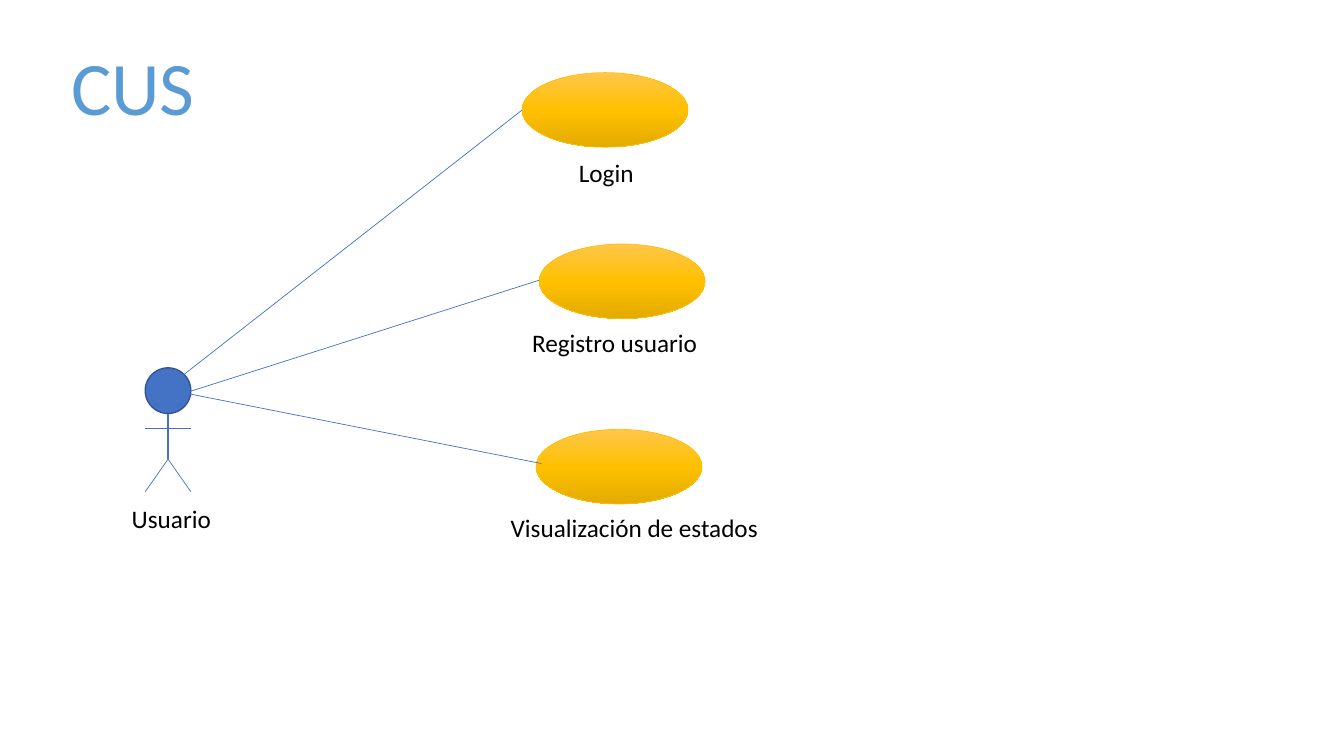
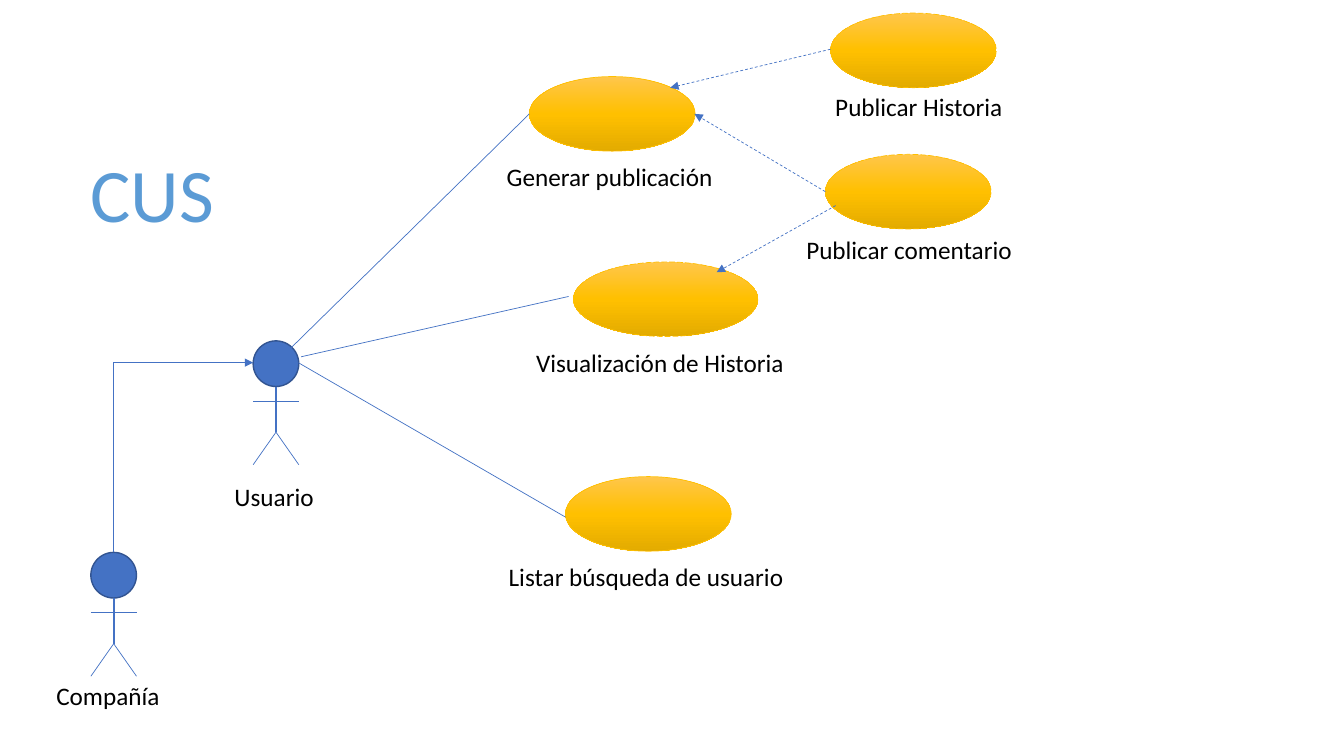
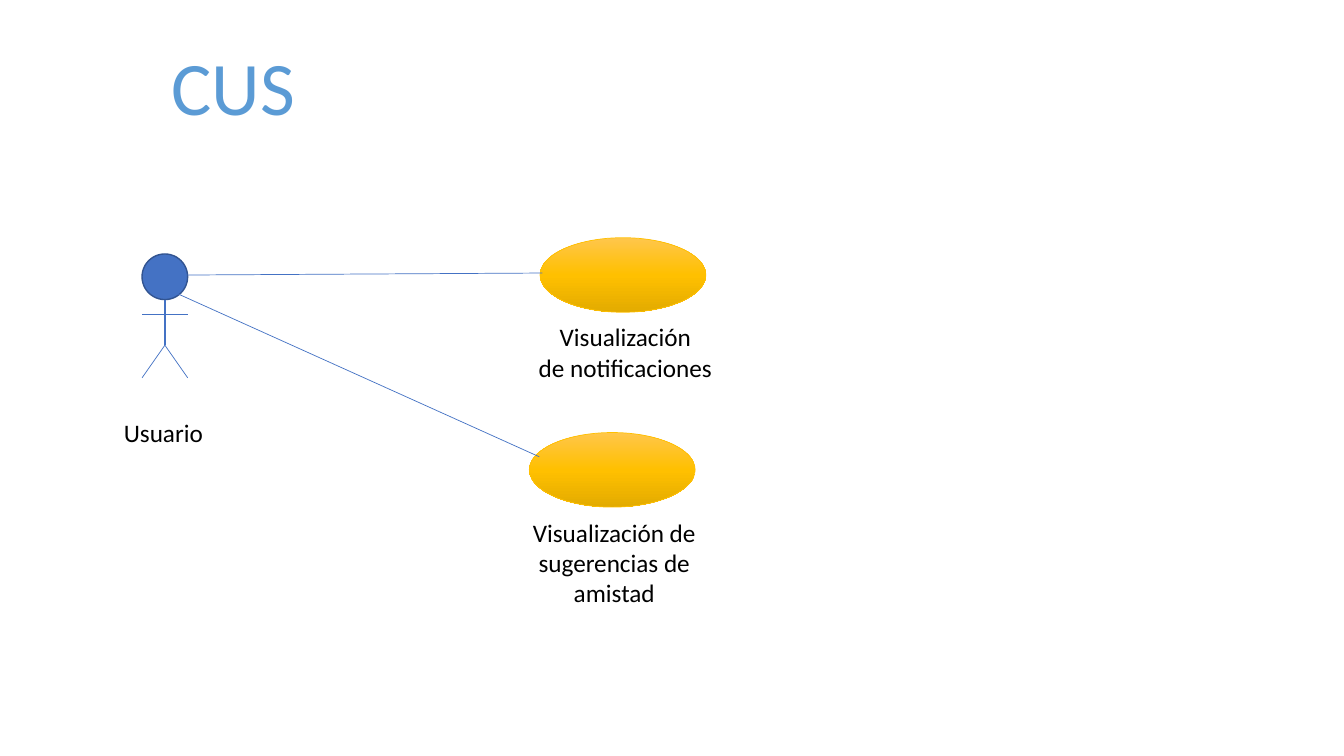
"""Build three use case diagram slides with actors, cases and links."""
from copy import deepcopy

from lxml import etree
from pptx import Presentation
from pptx.dml.color import RGBColor
from pptx.enum.dml import MSO_LINE
from pptx.enum.shapes import MSO_CONNECTOR, MSO_SHAPE
from pptx.enum.text import MSO_AUTO_SIZE, PP_ALIGN
from pptx.oxml.ns import qn
from pptx.util import Cm, Pt

ELLIPSE = MSO_SHAPE.OVAL
STRAIGHT = MSO_CONNECTOR.STRAIGHT
ELBOW = MSO_CONNECTOR.ELBOW
DASH = MSO_LINE.DASH
LONG_DASH = MSO_LINE.LONG_DASH
LEFT = PP_ALIGN.LEFT
CENTER = PP_ALIGN.CENTER
FIT = MSO_AUTO_SIZE.SHAPE_TO_FIT_TEXT

COLORS = {
    "actor": "4472C4", "actor_edge": "325491", "case_edge": "FFC000",
    "title": "5B9BD5", "text": "000000",
}
CASE_GRADIENT = [(0, "FFC64B"), (0.5, "FFC000"), (1, "E3AB00")]
FONT = "Calibri"
TITLE = "CUS"
HEAD = 1.15
CASE_WIDTH, CASE_HEIGHT = 4.18, 1.88
LINE_HEIGHT, LABEL_PADDING = 0.77, 0.25

# Lengths are centimetres; label is left, top, width.
SLIDES = [
    {
        "title": (1.52, 0.89, 3.66),
        "actors": [{"name": "Usuario", "at": (3.66, 9.27), "label": (3.07, 12.55, 2.54)}],
        "cases": [
            {"name": "Registro usuario", "at": (13.59, 6.15),
             "label": (11.89, 8.13, 7.54), "indent": 1.27},
            {"name": "Login", "at": (13.16, 1.83),
             "label": (12.32, 3.84, 5.92), "align": CENTER},
            {"name": "Visualización de estados", "at": (13.51, 10.82),
             "label": (12.62, 12.78, 7.54)},
        ],
        "links": [
            ((4.62, 9.45), (13.16, 2.77)),
            ((4.8, 9.86), (13.59, 7.06)),
            ((4.29, 9.83), (13.64, 11.68)),
        ],
    },
    {
        "title": (2.01, 3.58, 3.66),
        "actors": [
            {"name": "Usuario", "at": (6.38, 8.59), "label": (5.66, 12.01, 2.54)},
            {"name": "Compañía", "at": (2.29, 13.92), "label": (1.17, 17.02, 3.4)},
        ],
        "cases": [
            {"name": "Listar búsqueda de usuario", "at": (14.25, 12.01),
             "label": (12.57, 14.02, 7.54)},
            {"name": "Generar publicación", "at": (13.34, 1.93),
             "label": (12.52, 3.94, 5.92)},
            {"name": "Publicar Historia", "at": (20.93, 0.33),
             "label": (20.8, 2.18, 4.93), "dash": LONG_DASH},
            {"name": "Publicar comentario", "at": (20.8, 3.89),
             "label": (20.07, 5.79, 5.92), "dash": LONG_DASH},
            {"name": "Visualización de Historia", "at": (14.45, 6.6), "width": 4.65,
             "label": (13.26, 8.64, 7.32), "dash": LONG_DASH},
        ],
        "links": [
            ((7.34, 8.76), (13.34, 2.87)),
            ((7.52, 9.14), (14.25, 13.03)),
            ((7.59, 8.99), (14.33, 7.47)),
        ],
        "extensions": [
            ((20.93, 1.24), (16.89, 2.21)),
            ((20.8, 4.83), (17.5, 2.87)),
            ((21.06, 5.18), (18.06, 6.86)),
        ],
        "inheritance": [((2.87, 13.92), (6.38, 9.14))],
    },
    {
        "title": (1.52, 0.89, 8.71),
        "actors": [{"name": "Usuario", "at": (3.58, 6.4), "label": (2.87, 10.39, 2.54)}],
        "cases": [
            {"name": "Visualización de\u00a0notificaciones", "at": (13.61, 5.99),
             "label": (12.8, 7.98, 5.92), "align": CENTER, "lines": 2},
            {"name": "Visualización de sugerencias de amistad", "at": (13.34, 10.9),
             "label": (12.52, 12.9, 5.92), "align": CENTER, "lines": 3},
        ],
        "links": [
            ((4.72, 6.93), (13.67, 6.88)),
            ((4.34, 7.34), (13.59, 11.51)),
        ],
    },
]


def rgb(name):
    return RGBColor.from_string(COLORS[name])


def add_text(shapes, text, place, height, size=18, color="text", align=LEFT, indent=0):
    left, top, width = place
    box = shapes.add_textbox(Cm(left), Cm(top), Cm(width), Cm(height))
    frame = box.text_frame
    frame.word_wrap = True
    frame.auto_size = FIT
    para = frame.paragraphs[0]
    para.alignment = align
    if indent:
        para.level = 1
        para._p.get_or_add_pPr().set("marL", str(Cm(indent)))
    span = para.add_run()
    span.text = text
    span.font.name = FONT
    span.font.size = Pt(size)
    span.font.color.rgb = rgb(color)


def add_ellipse(shapes, at, width, height, edge, weight):
    ellipse = shapes.add_shape(ELLIPSE, Cm(at[0]), Cm(at[1]), Cm(width), Cm(height))
    ellipse.shadow.inherit = False
    ellipse.line.color.rgb = rgb(edge)
    ellipse.line.width = Pt(weight)
    return ellipse


def add_line(shapes, start, end, weight=0.5, kind=STRAIGHT, dash=None, arrow=False):
    points = [Cm(value) for value in (*start, *end)]
    line = shapes.add_connector(kind, *points)
    line.line.color.rgb = rgb("actor")
    line.line.width = Pt(weight)
    if dash:
        line.line.dash_style = dash
    properties = line.element.spPr
    if arrow:
        etree.SubElement(properties.find(qn("a:ln")), qn("a:tailEnd"), type="triangle")
    etree.SubElement(properties, qn("a:effectLst"))
    return line


def add_inheritance(shapes, start, end):
    middle_x, middle_y = (start[0] + end[0]) / 2, (start[1] + end[1]) / 2
    half_x, half_y = abs(end[1] - start[1]) / 2, abs(end[0] - start[0]) / 2
    line = add_line(shapes, (middle_x + half_x, middle_y + half_y),
                    (middle_x - half_x, middle_y - half_y), kind=ELBOW, arrow=True)
    properties = line.element.spPr
    properties.find(qn("a:prstGeom")).set("prst", "bentConnector2")
    properties.find(qn("a:xfrm")).set("rot", str(90 * 60000))


def add_actor(page, actor):
    left, top = actor["at"]
    middle, right = left + HEAD / 2, left + HEAD
    neck, arms, hip, feet = (top + drop for drop in (HEAD, 1.52, 2 * HEAD, 3.12))
    shapes = page.shapes.add_group_shape().shapes
    head = add_ellipse(shapes, actor["at"], HEAD, HEAD, "actor_edge", 1)
    head.fill.solid()
    head.fill.fore_color.rgb = rgb("actor")
    add_line(shapes, (middle, neck), (middle, hip), weight=1.5)
    for foot in (left, right):
        add_line(shapes, (middle, hip), (foot, feet))
    add_line(shapes, (left, arms), (right, arms))
    add_text(page.shapes, actor["name"], actor["label"], LINE_HEIGHT + LABEL_PADDING)


def add_case(page, case):
    shapes = page.shapes.add_group_shape().shapes
    oval = add_ellipse(shapes, case["at"], case.get("width", CASE_WIDTH),
                       CASE_HEIGHT, "case_edge", 0.5)
    if "dash" in case:
        oval.line.dash_style = case["dash"]
    oval.fill.gradient()
    oval.fill.gradient_angle = 270
    stop_list = oval.element.spPr.find(".//" + qn("a:gsLst"))
    stop_list.append(deepcopy(stop_list[0]))
    for stop, (position, color) in zip(oval.fill.gradient_stops, CASE_GRADIENT):
        stop.position = position
        stop.color.rgb = RGBColor.from_string(color)
    height = case.get("lines", 1) * LINE_HEIGHT + LABEL_PADDING
    add_text(shapes, case["name"], case["label"], height,
             align=case.get("align", LEFT), indent=case.get("indent", 0))


deck = Presentation()
deck.slide_width, deck.slide_height = Cm(33.87), Cm(19.05)
for content in SLIDES:
    page = deck.slides.add_slide(deck.slide_layouts[6])
    for actor in content["actors"]:
        add_actor(page, actor)
    for case in content["cases"]:
        add_case(page, case)
    for start, end in content.get("inheritance", []):
        add_inheritance(page.shapes, start, end)
    for start, end in content["links"]:
        add_line(page.shapes, start, end)
    for start, end in content.get("extensions", []):
        add_line(page.shapes, start, end, dash=DASH, arrow=True)
    add_text(page.shapes, TITLE, content["title"], 2.57, 54, "title", CENTER)
deck.save("out.pptx")
